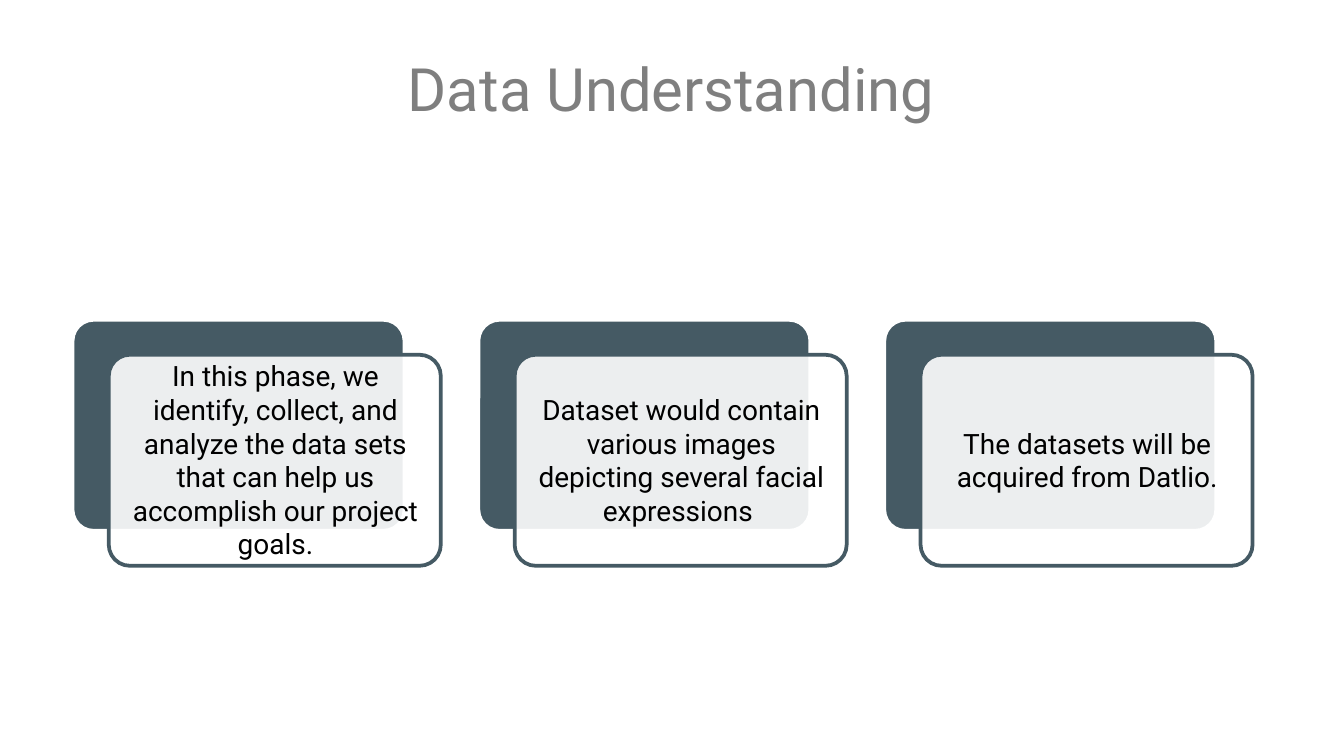
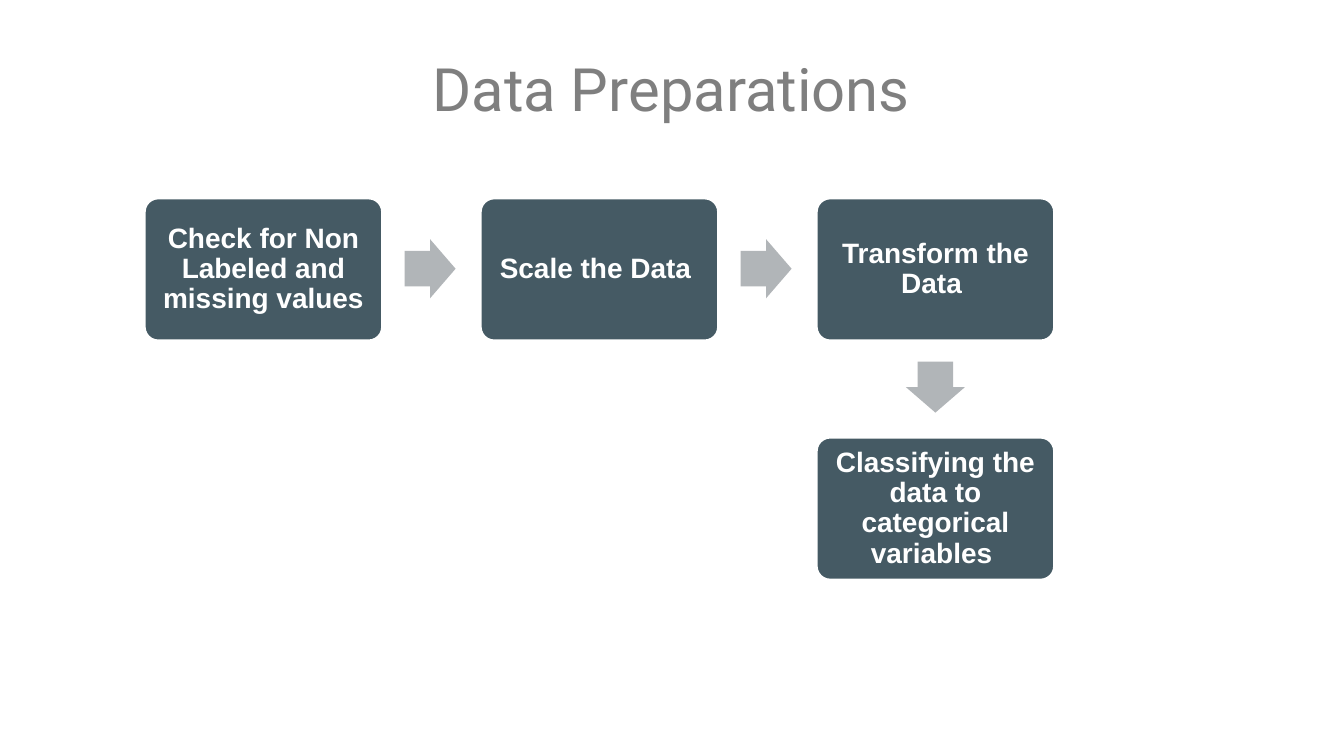
import pptx
import pptx.dml.color
import pptx.enum.shapes
import pptx.enum.text
import pptx.oxml.ns
import pptx.util
from lxml import etree

Inches = pptx.util.Inches
Pt = pptx.util.Pt
RGBColor = pptx.dml.color.RGBColor
Shape = pptx.enum.shapes.MSO_SHAPE

SLATE = RGBColor(0x45, 0x5A, 0x64)
ARROW_GRAY = RGBColor(0xB1, 0xB5, 0xB8)
TITLE_GRAY = RGBColor(0x7F, 0x7F, 0x7F)
WHITE = RGBColor(0xFF, 0xFF, 0xFF)
BLACK = RGBColor(0x00, 0x00, 0x00)

CARD_SIZE = (2.47, 1.57)
CARD_LEFT, CARD_TOP, CARD_STEP = 0.54, 2.38, 3.02
STEP_SIZE = (1.78, 1.07)
STEP_LEFT, STEP_TOP = 1.07, 1.47
STEP_ACROSS, STEP_DOWN = 2.5, 1.78
ARROW_SIZE = (0.38, 0.44)

CARDS = [
    "In this phase, we identify, collect, and analyze the data sets "
    "that can help us accomplish our project goals.",
    "Dataset would contain various images depicting several facial expressions ",
    "The datasets will be acquired from Datlio.",
]
STEPS = [
    ("Check for Non Labeled and missing values", 0, 0),
    ("Scale the Data ", 1, 0),
    ("Transform the Data ", 2, 0),
    ("Classifying the data to categorical variables ", 2, 1),
]


def add_text(page, text, left, top, width, height, font, size, color,
             bold=False, inset=0.06, spacing=1.0):
    box = page.shapes.add_textbox(
        Inches(left), Inches(top), Inches(width), Inches(height))
    frame = box.text_frame
    frame.word_wrap = True
    frame.vertical_anchor = pptx.enum.text.MSO_ANCHOR.MIDDLE
    frame.margin_left = frame.margin_right = Inches(inset)
    frame.margin_top = frame.margin_bottom = Inches(inset)
    para = frame.paragraphs[0]
    para.text = text
    para.alignment = pptx.enum.text.PP_ALIGN.CENTER
    para.line_spacing = spacing
    para.font.name = font
    para.font.size = Pt(size)
    para.font.bold = bold
    para.font.color.rgb = color


def add_filled(page, kind, left, top, size, adjustments, fill, line=None):
    shape = page.shapes.add_shape(
        kind, Inches(left), Inches(top), *map(Inches, size))
    shape.shadow.inherit = False
    for index, value in enumerate(adjustments):
        shape.adjustments[index] = value
    shape.fill.solid()
    shape.fill.fore_color.rgb = fill
    if line is None:
        shape.line.fill.background()
    else:
        shape.line.color.rgb = line
        shape.line.width = Pt(2)
    return shape


def add_rounded(page, left, top, size, fill, line):
    return add_filled(page, Shape.ROUNDED_RECTANGLE, left, top, size,
                      [0.1], fill, line)


def set_opacity(shape, percent):
    tag = pptx.oxml.ns.qn
    color = shape.element.spPr.find(tag("a:solidFill")).find(tag("a:srgbClr"))
    etree.SubElement(color, tag("a:alpha"), val=str(percent * 1000))


def add_page(deck, title):
    page = deck.slides.add_slide(deck.slide_layouts[6])
    add_text(page, title, 0.42, 0.38, 9.15, 0.54, "Roboto", 32,
             TITLE_GRAY, inset=0)
    return page


def add_card(page, text, left, top):
    add_rounded(page, left, top, CARD_SIZE, SLATE, WHITE)
    front = add_rounded(page, left + 0.27, top + 0.26, CARD_SIZE, WHITE, SLATE)
    set_opacity(front, 90)
    add_text(page, text, left + 0.32, top + 0.3, 2.38, 1.48,
             "Roboto", 15, BLACK)


def add_step(page, text, left, top):
    add_rounded(page, left, top, STEP_SIZE, SLATE, WHITE)
    add_text(page, text, left + 0.03, top + 0.03, 1.72, 1.01,
             "Arial", 15, WHITE, bold=True, spacing=0.9)


def add_arrow(page, left, top, rotation=0):
    arrow = add_filled(page, Shape.RIGHT_ARROW, left, top, ARROW_SIZE,
                       [0.6, 0.5], ARROW_GRAY)
    arrow.rotation = rotation


def build_understanding(deck):
    page = add_page(deck, "Data Understanding")
    for index, text in enumerate(CARDS):
        add_card(page, text, CARD_LEFT + index * CARD_STEP, CARD_TOP)


def build_preparations(deck):
    page = add_page(deck, "Data Preparations")
    for text, column, row in STEPS:
        left = STEP_LEFT + column * STEP_ACROSS
        top = STEP_TOP + row * STEP_DOWN
        add_step(page, text, left, top)
        if row:
            add_arrow(page, left + 0.7, top - 0.59, 90)
        elif column:
            add_arrow(page, left - 0.56, top + 0.31)


def main():
    deck = pptx.Presentation()
    deck.slide_width = Inches(10)
    deck.slide_height = deck.slide_width * 9 // 16
    build_understanding(deck)
    build_preparations(deck)
    deck.save("out.pptx")


if __name__ == "__main__":
    main()
